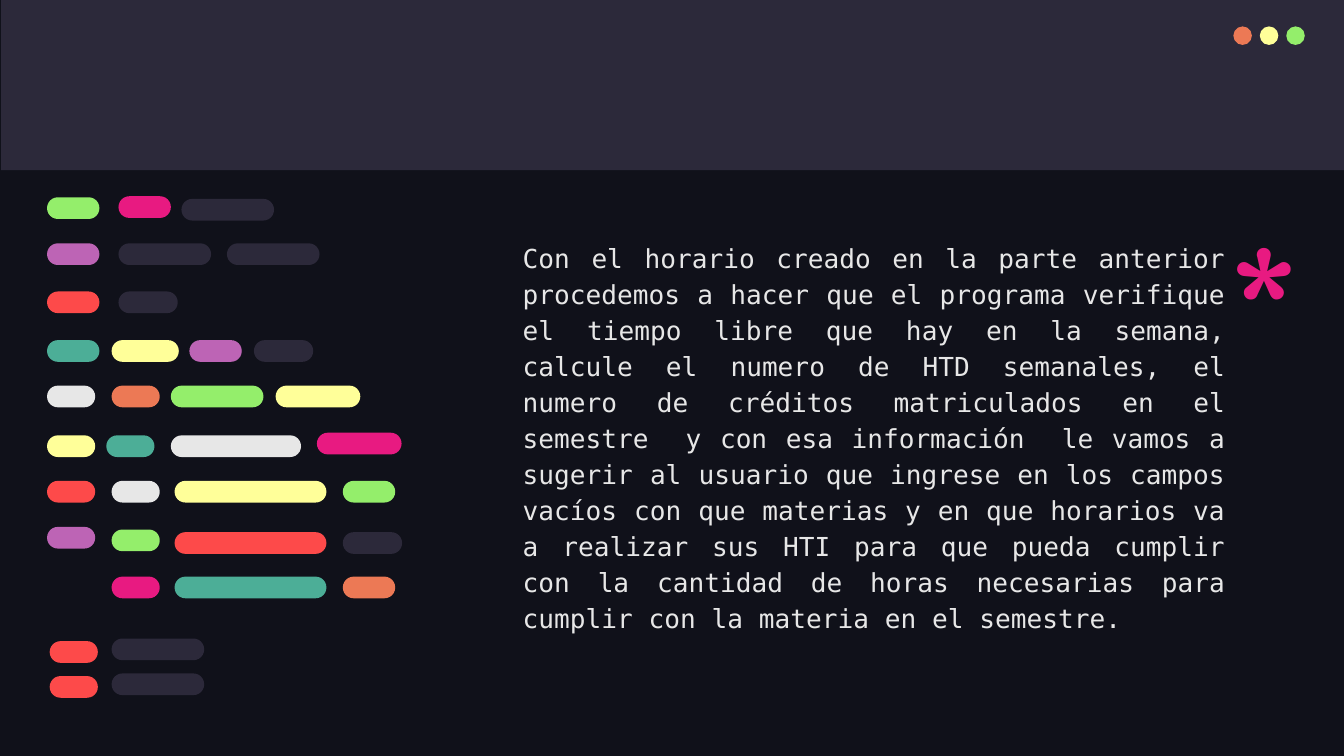
from pptx import Presentation
from pptx.dml.color import RGBColor
from pptx.enum import shapes, text
from pptx.util import Cm, Pt

NIGHT, SLATE, WHITE = "10111A", "2C293A", "E7E7E7"
GREEN, PINK, PURPLE, RED = "94EE6B", "E81A81", "BD64B5", "FD4A4A"
TEAL, YELLOW, ORANGE = "4CAE97", "FFFF99", "EC7955"

BAR_HEIGHT = 0.41
TINY, SMALL, SHORT, MEDIUM = 0.91, 0.99, 1.12, 1.27
WIDE, LONG, LONGER, LONGEST = 1.6, 1.75, 2.46, 2.87

# Bars of the code drawing, in cm: (top, [(left, width, colour), ...])
CODE_ROWS = [
    (3.73, [(0.89, SMALL, GREEN)]),
    (3.71, [(2.24, SMALL, PINK)]),
    (3.76, [(3.43, LONG, SLATE)]),
    (4.6, [(0.89, SMALL, PURPLE), (2.24, LONG, SLATE), (4.29, LONG, SLATE)]),
    (5.51, [(0.89, SMALL, RED), (2.24, SHORT, SLATE)]),
    (6.43, [(0.89, SMALL, TEAL), (2.11, MEDIUM, YELLOW),
            (3.58, SMALL, PURPLE), (4.8, SHORT, SLATE)]),
    (7.29, [(0.89, TINY, WHITE), (2.11, TINY, ORANGE),
            (3.23, LONG, GREEN), (5.21, WIDE, YELLOW)]),
    (8.23, [(0.89, TINY, YELLOW), (2.01, TINY, TEAL), (3.23, LONGER, WHITE)]),
    (8.18, [(5.99, WIDE, PINK)]),
    (9.09, [(0.89, TINY, RED), (2.11, TINY, WHITE),
            (3.3, LONGEST, YELLOW), (6.48, SMALL, GREEN)]),
    (9.96, [(0.89, TINY, PURPLE)]),
    (10.01, [(2.11, TINY, GREEN)]),
    (10.06, [(3.3, LONGEST, RED), (6.48, SHORT, SLATE)]),
    (10.9, [(2.11, TINY, PINK), (3.3, LONGEST, TEAL), (6.48, SMALL, ORANGE)]),
    (12.12, [(0.94, TINY, RED)]),
    (12.07, [(2.11, LONG, SLATE)]),
    (12.78, [(0.94, TINY, RED)]),
    (12.73, [(2.11, LONG, SLATE)]),
]

BODY = (
    "Con el horario creado en la parte anterior procedemos a hacer que el "
    "programa verifique el tiempo libre que hay en la semana, calcule el "
    "numero de HTD semanales, el numero de créditos matriculados en el "
    "semestre  y con esa información  le vamos a sugerir al usuario que "
    "ingrese en los campos vacíos con que materias y en que horarios va a "
    "realizar sus HTI para que pueda cumplir con la cantidad de horas "
    "necesarias para cumplir con la materia en el semestre."
)


def paint(fill, colour):
    fill.solid()
    fill.fore_color.rgb = RGBColor.from_string(colour)


def add_shape(slide, kind, left, top, width, height, colour):
    shape = slide.shapes.add_shape(
        kind, Cm(left), Cm(top), Cm(width), Cm(height))
    paint(shape.fill, colour)
    shape.line.fill.background()
    shape.shadow.inherit = False
    return shape


def add_text(slide, words, left, top, width, height, font, size, colour):
    box = slide.shapes.add_textbox(Cm(left), Cm(top), Cm(width), Cm(height))
    frame = box.text_frame
    frame.word_wrap = True
    frame.vertical_anchor = text.MSO_ANCHOR.TOP
    frame.margin_left = frame.margin_right = Cm(0.25)
    frame.margin_top = frame.margin_bottom = Cm(0.25)
    paragraph = frame.paragraphs[0]
    paragraph.text = words
    paragraph.font.name = font
    paragraph.font.size = Pt(size)
    paragraph.font.color.rgb = RGBColor.from_string(colour)
    return paragraph


def add_window_header(slide):
    add_shape(slide, shapes.MSO_SHAPE.RECTANGLE, 0.02, 0, 25.4, 3.22, SLATE)
    for index, colour in enumerate((ORANGE, YELLOW, GREEN)):
        add_shape(slide, shapes.MSO_SHAPE.OVAL,
                  23.31 + index * 0.5, 0.5, 0.35, 0.35, colour)


def add_code_drawing(slide):
    for top, bars in CODE_ROWS:
        for left, width, colour in bars:
            bar = add_shape(slide, shapes.MSO_SHAPE.ROUNDED_RECTANGLE,
                            left, top, width, BAR_HEIGHT, colour)
            bar.adjustments[0] = 0.5


def main():
    presentation = Presentation()
    presentation.slide_width = Cm(25.4)
    presentation.slide_height = Cm(14.29)
    # The slide has no title, so it uses the blank layout
    slide = presentation.slides.add_slide(presentation.slide_layouts[6])
    paint(slide.background.fill, NIGHT)

    add_window_header(slide)

    # Justified description
    paragraph = add_text(slide, BODY, 9.63, 4.24, 13.79, 8.53,
                         "DejaVu Sans Mono", 14, WHITE)
    paragraph.alignment = text.PP_ALIGN.JUSTIFY
    paragraph.line_spacing = 1.15

    add_code_drawing(slide)

    # Large asterisk
    add_text(slide, "*", 22.99, 3.71, 1.45, 2.21, "Comfortaa", 96, PINK)

    presentation.save("out.pptx")


if __name__ == "__main__":
    main()
